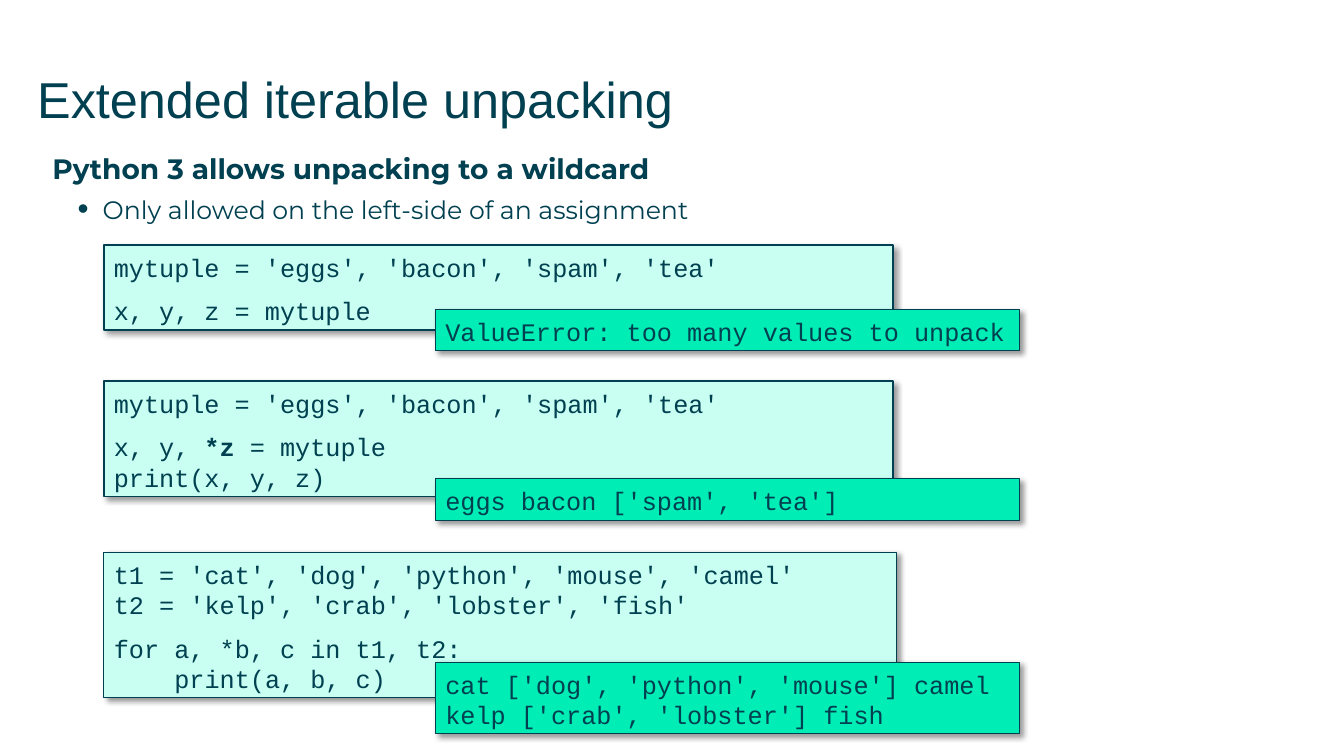
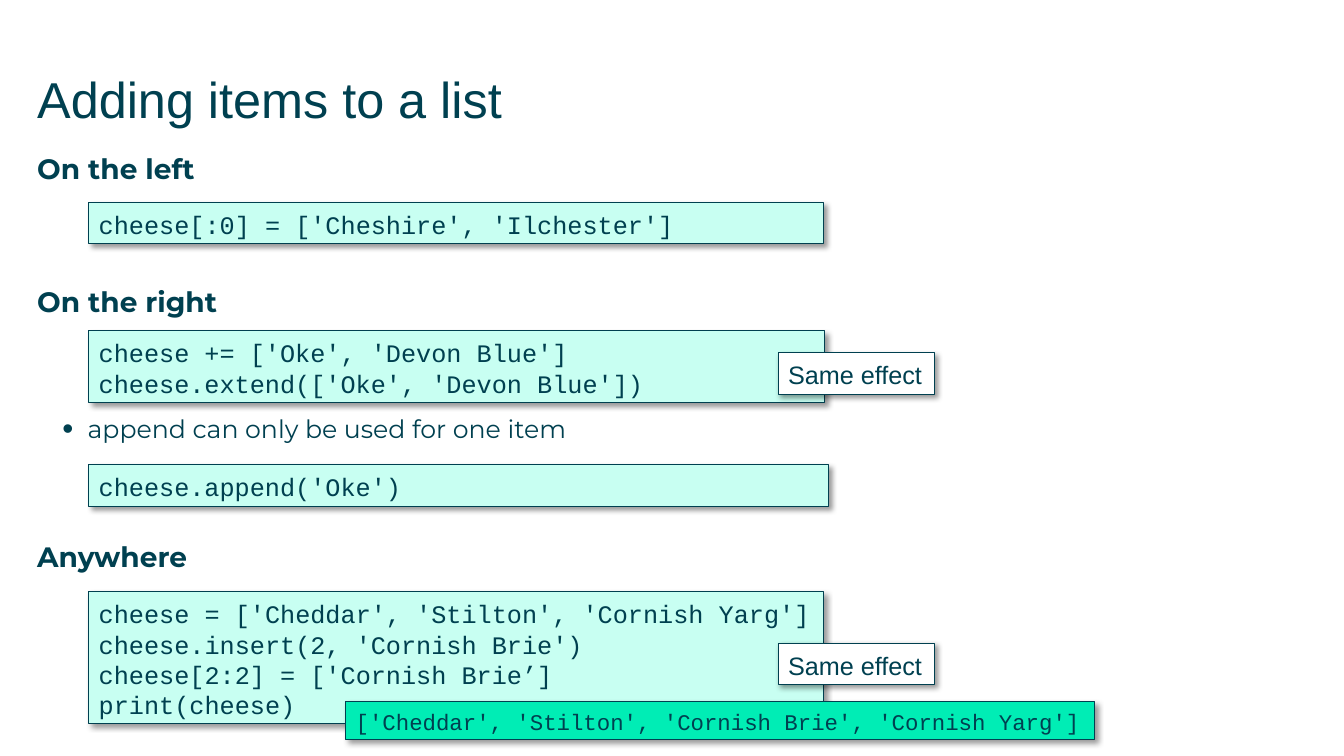
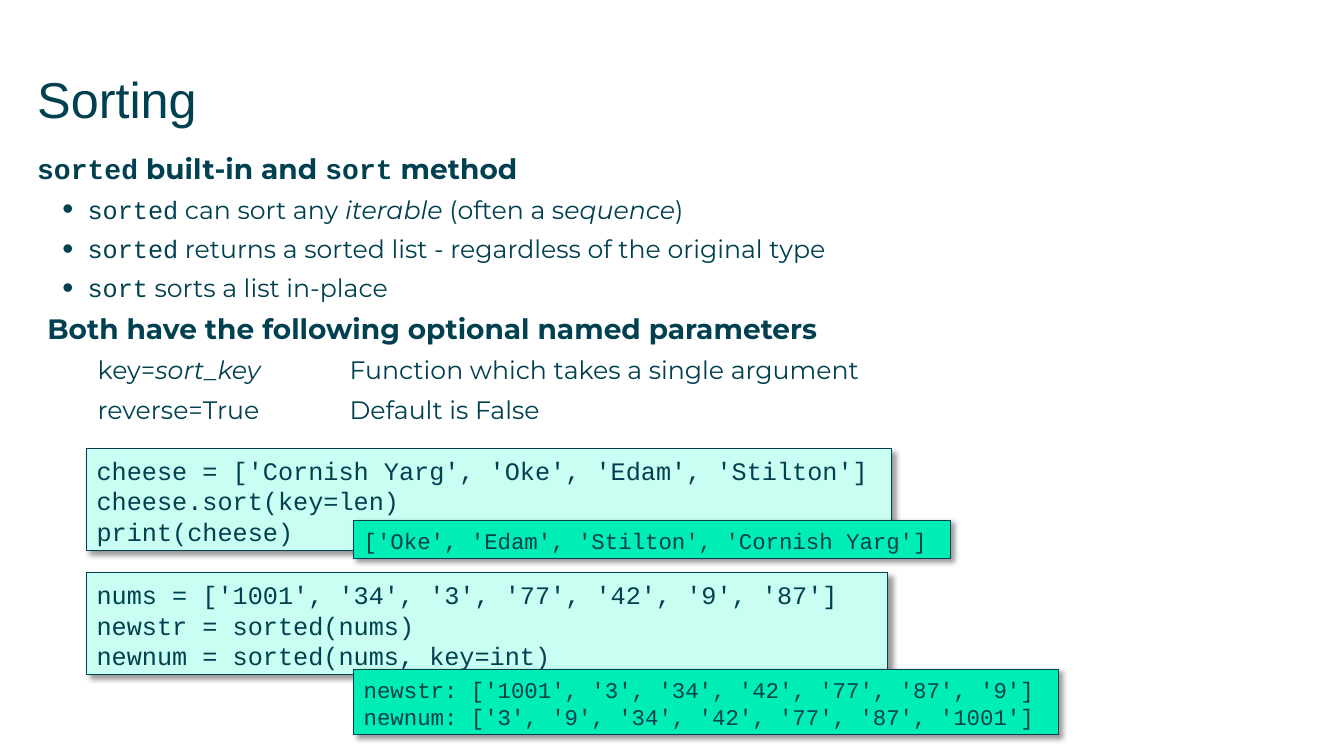
from dataclasses import dataclass, field
from typing import NamedTuple

from lxml import etree
from pptx import Presentation
from pptx import util as u
from pptx.dml.color import RGBColor
from pptx.enum import shapes, text
from pptx.oxml.ns import qn


@dataclass(frozen=True)
class Theme:
    ink: str = "004050"
    code_fill: str = "C8FFF2"
    output_fill: str = "00EDB5"
    label_fill: str = "FFFFFF"
    shadow: str = "000000"
    title_font: str = "Arial"
    body_font: str = "Montserrat"
    code_font: str = "Courier New"
    title_size: float = 36
    heading_size: float = 20
    text_size: float = 18
    small_size: float = 16
    line_factor: float = 1.2
    block_gap: float = 9.6
    paragraph_gap: float = 6.5
    panel_padding: float = 8


THEME = Theme()


class Run(NamedTuple):
    text: str
    font: str | None = None
    bold: bool | None = None
    italic: bool | None = None


@dataclass(frozen=True)
class Item:
    """A body paragraph; before is extra room above it."""
    runs: tuple[Run, ...]
    size: float = THEME.text_size
    bold: bool = False
    bullet: bool = False
    margin: float = 0
    before: float = 0


@dataclass(frozen=True)
class Panel:
    """A shadowed box; a blank line in its text starts a new block."""
    left: float
    top: float
    width: float
    text: str
    fill: str = THEME.code_fill
    font: str = THEME.code_font
    size: float = THEME.text_size
    line_width: float = 0.75
    strong: str = ""


@dataclass(frozen=True)
class Page:
    title: str
    items: list[Item]
    panels: list[Panel] = field(default_factory=list)
    body_left: float = 26.6


def heading(*runs: Run | str, margin: float = 0, before: float = 0) -> Item:
    return Item(as_runs(runs), THEME.heading_size, True, margin=margin, before=before)


def bullet(*runs: Run | str, before: float = 0) -> Item:
    return Item(as_runs(runs), bullet=True, margin=36, before=before)


def parameter(*runs: Run | str) -> Item:
    return Item(as_runs(runs), margin=7.2)


def output(left: float, top: float, width: float, content: str,
           size: float = THEME.text_size) -> Panel:
    return Panel(left, top, width, content, THEME.output_fill, size=size)


def same_effect(top: float) -> Panel:
    return Panel(555.8, top, 111.6, "Same effect", THEME.label_fill, THEME.title_font)


def as_runs(parts: tuple[Run | str, ...]) -> tuple[Run, ...]:
    return tuple(Run(part) if isinstance(part, str) else part for part in parts)


def code(word: str) -> Run:
    return Run(word, THEME.code_font)


def italic(words: str) -> Run:
    return Run(words, italic=True)


def set_font(paragraph, size: float, name: str | None, bold: bool | None = None) -> None:
    font = paragraph.font
    font.size = u.Pt(size)
    font.color.rgb = RGBColor.from_string(THEME.ink)
    font.name = name
    font.bold = bold


def add_runs(paragraph, runs: tuple[Run, ...], default_font: str) -> None:
    mixed_fonts = any(part.font for part in runs)
    for part in runs:
        run = paragraph.add_run()
        run.text = part.text
        if mixed_fonts:
            run.font.name = part.font or default_font
        run.font.bold = part.bold
        run.font.italic = part.italic


def next_paragraph(frame, index: int):
    return frame.add_paragraph() if index else frame.paragraphs[0]


def add_text_box(slide, left: float, top: float, width: float, height: float,
                 inset_top: float = 0):
    box = slide.shapes.add_textbox(u.Pt(left), u.Pt(top), u.Pt(width), u.Pt(height))
    frame = box.text_frame
    frame.word_wrap = True
    frame.vertical_anchor = text.MSO_ANCHOR.TOP
    frame.margin_left = frame.margin_right = frame.margin_bottom = 0
    frame.margin_top = u.Pt(inset_top)
    return frame


def add_title(slide, title: str) -> None:
    paragraph = add_text_box(slide, 26.6, 43.9, 907.2, 63.4, 5).paragraphs[0]
    paragraph.text = title
    set_font(paragraph, THEME.title_size, THEME.title_font)


def indent(paragraph, margin: float, bulleted: bool) -> None:
    properties = paragraph._p.get_or_add_pPr()
    properties.set("marL", str(u.Pt(margin)))
    properties.set("indent", str(u.Pt(-18 if bulleted else 0)))
    if bulleted:
        etree.SubElement(properties, qn("a:buSzPct"), val="125000")
        etree.SubElement(properties, qn("a:buFont"), typeface="Arial")
        etree.SubElement(properties, qn("a:buChar"), char="•")


def add_body(slide, page: Page) -> None:
    frame = add_text_box(slide, page.body_left, 108, 933.4 - page.body_left, 390)
    for index, item in enumerate(page.items):
        paragraph = next_paragraph(frame, index)
        paragraph.space_after = u.Pt(THEME.paragraph_gap)
        if item.before:
            paragraph.space_before = u.Pt(item.before)
        indent(paragraph, item.margin, item.bullet)
        mixed_fonts = any(part.font for part in item.runs)
        set_font(paragraph, item.size, None if mixed_fonts else THEME.body_font, item.bold)
        add_runs(paragraph, item.runs, THEME.body_font)


def add_shadow(shape) -> None:
    shape.shadow.inherit = False
    effects = shape.element.spPr.find(qn("a:effectLst"))
    shadow = etree.SubElement(
        effects, qn("a:outerShdw"), blurRad=str(u.Pt(4)), dist=str(u.Pt(3)),
        dir="2700000", algn="tl", rotWithShape="0")
    colour = etree.SubElement(shadow, qn("a:srgbClr"), val=THEME.shadow)
    etree.SubElement(colour, qn("a:alpha"), val="40000")


def split_strong(line: str, strong: str) -> tuple[Run, ...]:
    if not strong or strong not in line:
        return (Run(line),)
    before, match, after = line.partition(strong)
    return Run(before), Run(match, bold=True), Run(after)


def add_panel(slide, panel: Panel) -> None:
    blocks = [block.split("\n") for block in panel.text.split("\n\n")]
    pitch = panel.size * THEME.line_factor
    height = (sum(map(len, blocks)) * pitch + (len(blocks) - 1) * THEME.block_gap
              + THEME.panel_padding)
    shape = slide.shapes.add_shape(
        shapes.MSO_SHAPE.RECTANGLE,
        u.Pt(panel.left), u.Pt(panel.top), u.Pt(panel.width), u.Pt(height))
    shape.fill.solid()
    shape.fill.fore_color.rgb = RGBColor.from_string(panel.fill)
    shape.line.color.rgb = RGBColor.from_string(THEME.ink)
    shape.line.width = u.Pt(panel.line_width)
    add_shadow(shape)

    frame = shape.text_frame
    frame.word_wrap = True
    frame.vertical_anchor = text.MSO_ANCHOR.TOP
    frame.margin_left, frame.margin_top = u.Pt(7.2), u.Pt(5)
    frame.margin_right = frame.margin_bottom = 0
    lines = [(line, number == 0) for block in blocks for number, line in enumerate(block)]
    for index, (line, starts_block) in enumerate(lines):
        paragraph = next_paragraph(frame, index)
        paragraph.alignment = text.PP_ALIGN.LEFT
        paragraph.line_spacing = u.Pt(pitch)
        if index and starts_block:
            paragraph.space_before = u.Pt(THEME.block_gap)
        set_font(paragraph, panel.size, panel.font)
        add_runs(paragraph, split_strong(line, panel.strong), panel.font)


PAGES = [
    Page(
        "Extended iterable unpacking",
        [heading("Python 3 allows unpacking to a wildcard"),
         bullet("Only allowed on the left-side of an assignment")],
        [Panel(74.2, 175, 563.8,
               "mytuple = 'eggs', 'bacon', 'spam', 'tea'\n\nx, y, z = mytuple",
               line_width=1),
         output(311, 221, 417.6, "ValueError: too many values to unpack"),
         Panel(74.2, 272.2, 563.8,
               "mytuple = 'eggs', 'bacon', 'spam', 'tea'\n\n"
               "x, y, *z = mytuple\nprint(x, y, z)",
               line_width=1, strong="*z"),
         output(311, 342, 417.6, "eggs bacon ['spam', 'tea']"),
         Panel(74.2, 394.3, 566,
               "t1 = 'cat', 'dog', 'python', 'mouse', 'camel'\n"
               "t2 = 'kelp', 'crab', 'lobster', 'fish'\n\n"
               "for a, *b, c in t1, t2:\n    print(a, b, c)"),
         output(311, 473, 417.6,
                "cat ['dog', 'python', 'mouse'] camel\nkelp ['crab', 'lobster'] fish")],
        body_left=37.4,
    ),
    Page(
        "Adding items to a list",
        [heading("On the left"),
         heading("On the right", before=65),
         bullet("append can only be used for one item", before=61.5),
         heading("Anywhere", before=61.5)],
        [Panel(63.4, 236.2, 525.6,
               "cheese += ['Oke', 'Devon Blue']\ncheese.extend(['Oke', 'Devon Blue'])"),
         Panel(63.4, 144.7, 525, "cheese[:0] = ['Cheshire', 'Ilchester']"),
         same_effect(252),
         Panel(63.4, 331.9, 528.5, "cheese.append('Oke')"),
         Panel(63.4, 422.6, 525,
               "cheese = ['Cheddar', 'Stilton', 'Cornish Yarg']\n"
               "cheese.insert(2, 'Cornish Brie')\n"
               "cheese[2:2] = ['Cornish Brie’]\nprint(cheese)"),
         output(247, 501, 535,
                "['Cheddar', 'Stilton', 'Cornish Brie', 'Cornish Yarg']",
                THEME.small_size),
         same_effect(459.4)],
    ),
    Page(
        "Sorting",
        [heading(code("sorted"), " built-in and ", code("sort"), " method"),
         bullet(code("sorted"), " can sort any ", italic("iterable"), " (often a s",
                italic("equence"), ")"),
         bullet(code("sorted"), " returns a sorted list - regardless of the original type"),
         bullet(code("sort"), " sorts a list in-place"),
         heading("Both have the following optional named parameters", margin=7.2),
         parameter("\tkey=", italic("sort_key"),
                   "\t\tFunction which takes a single argument"),
         parameter("\treverse=True\t\tDefault is False")],
        [Panel(61.9, 320.4, 574.6,
               "cheese = ['Cornish Yarg', 'Oke', 'Edam', 'Stilton']\n"
               "cheese.sort(key=len)\nprint(cheese)"),
         output(252.7, 371.5, 426.2, "['Oke', 'Edam', 'Stilton', 'Cornish Yarg']",
                THEME.small_size),
         Panel(61.9, 409, 572.4,
               "nums = ['1001', '34', '3', '77', '42', '9', '87']\n"
               "newstr = sorted(nums)\nnewnum = sorted(nums, key=int)"),
         output(252.7, 478, 503.3,
                "newstr: ['1001', '3', '34', '42', '77', '87', '9']\n"
                "newnum: ['3', '9', '34', '42', '77', '87', '1001']",
                THEME.small_size)],
    ),
]


def main() -> None:
    presentation = Presentation()
    presentation.slide_width, presentation.slide_height = u.Pt(960), u.Pt(540)
    for page in PAGES:
        slide = presentation.slides.add_slide(presentation.slide_layouts[6])
        add_title(slide, page.title)
        add_body(slide, page)
        for panel in page.panels:
            add_panel(slide, panel)
    presentation.save("out.pptx")


if __name__ == "__main__":
    main()
